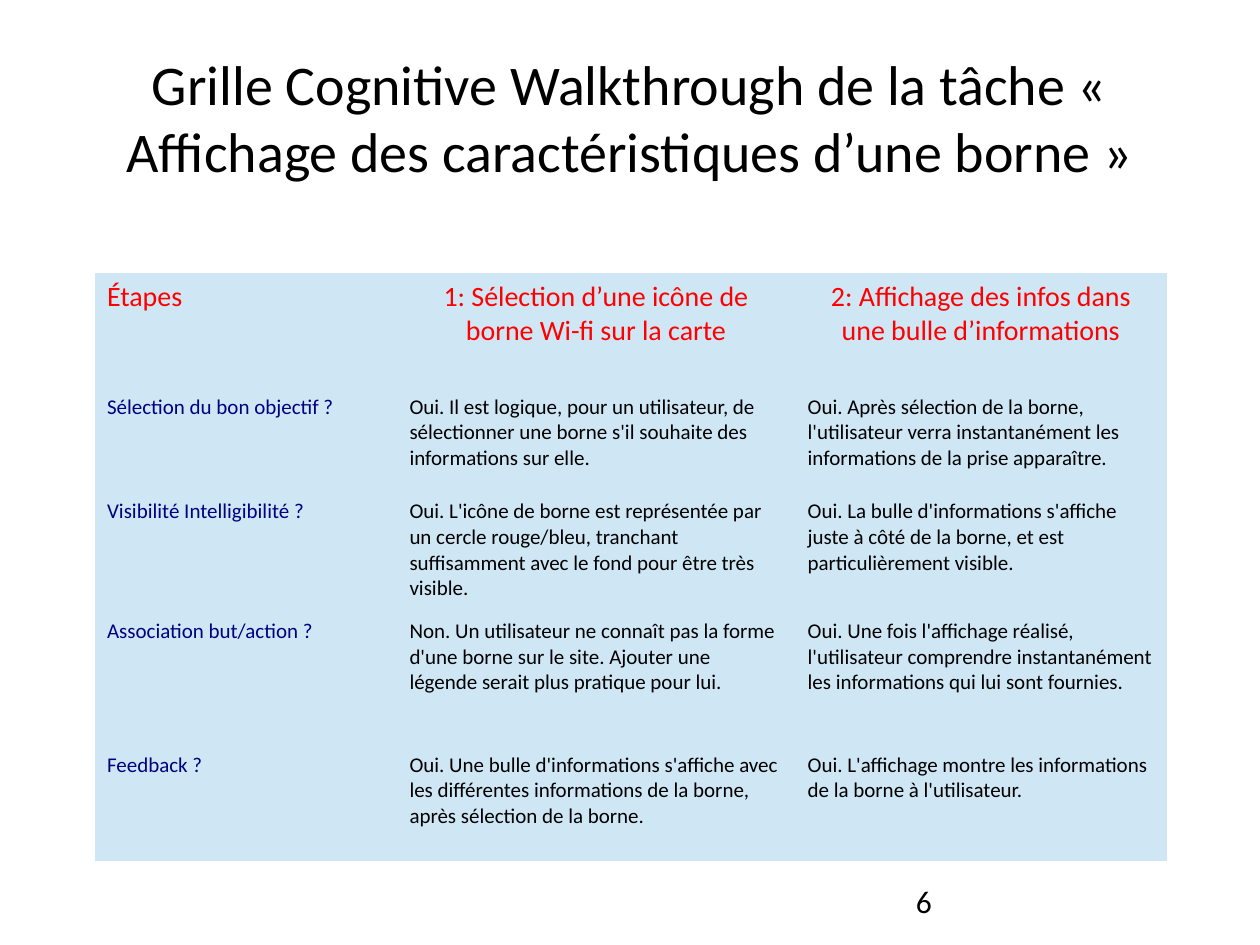
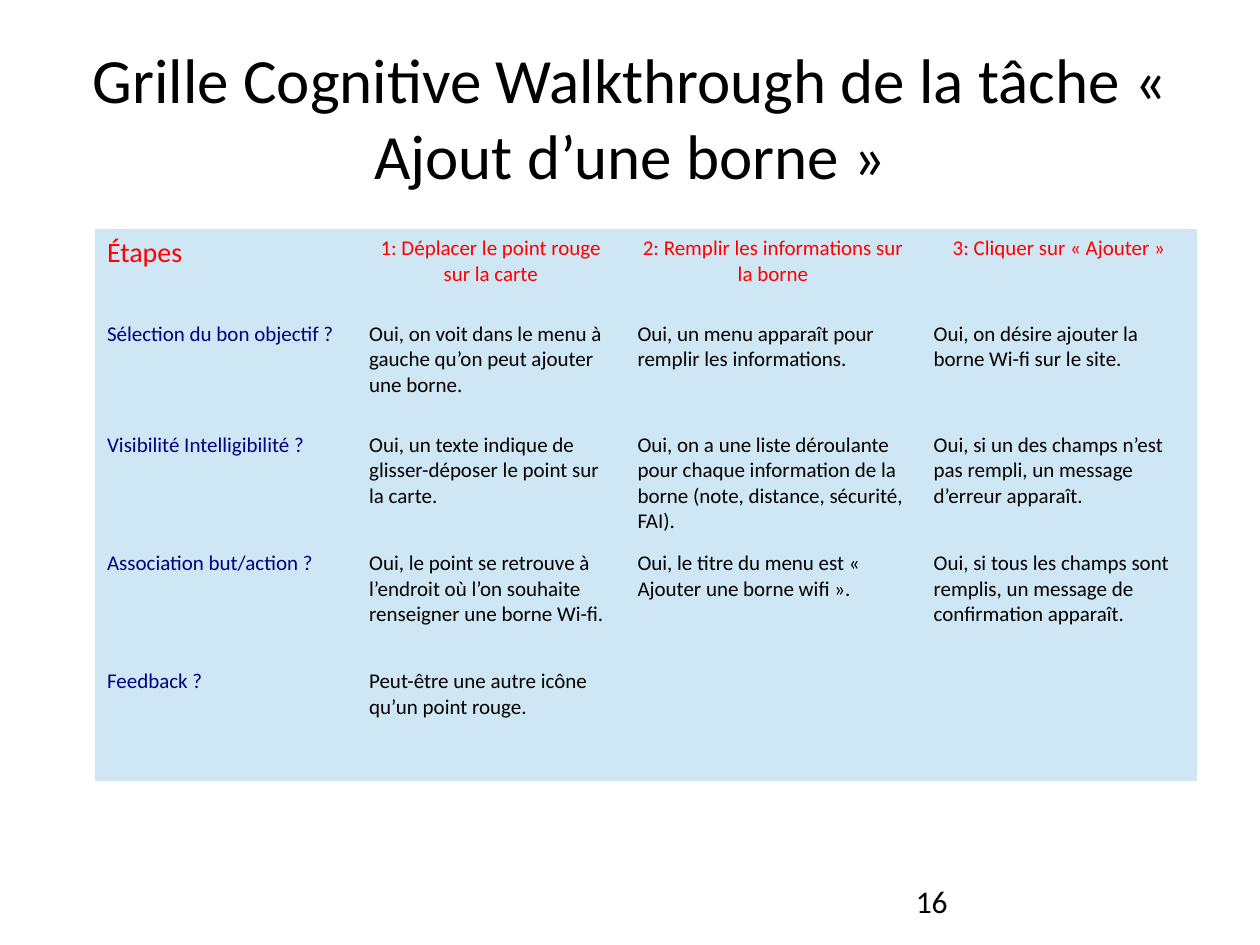
from pptx import Presentation
from pptx.dml.color import RGBColor
from pptx.enum.text import MSO_ANCHOR, MSO_AUTO_SIZE, PP_ALIGN
from pptx.util import Inches, Pt

FONT = "Calibri"
BLACK, RED, NAVY, PALE_BLUE = "000000", "FF0000", "000080", "CFE7F5"
NO_STYLE = "{2D5ABB26-0587-4C30-8999-92F81FD0307C}"
WIDTH, HEIGHT = Inches(10), Inches(7.5)
QUESTIONS = [
    "Sélection du bon objectif ?",
    "Visibilité Intelligibilité ?",
    "Association but/action ?",
    "Feedback ?",
]

DISPLAY_STEPS = {
    "1: Sélection d’une icône de borne Wi-fi sur la carte": [
        "Oui. Il est logique, pour un utilisateur, de sélectionner une borne s'il souhaite des informations sur elle.",
        "Oui. L'icône de borne est représentée par un cercle rouge/bleu, tranchant suffisamment avec le fond pour être très visible.",
        "Non. Un utilisateur ne connaît pas la forme d'une borne sur le site. Ajouter une légende serait plus pratique pour lui.",
        "Oui. Une bulle d'informations s'affiche avec les différentes informations de la borne, après sélection de la borne.",
    ],
    "2: Affichage des infos dans une bulle d’informations": [
        "Oui. Après sélection de la borne, l'utilisateur verra instantanément les informations de la prise apparaître.",
        "Oui. La bulle d'informations s'affiche juste à côté de la borne, et est particulièrement visible.",
        "Oui. Une fois l'affichage réalisé, l'utilisateur comprendre instantanément les informations qui lui sont fournies.",
        "Oui. L'affichage montre les informations de la borne à l'utilisateur.",
    ],
}

ADDING_STEPS = {
    "1: Déplacer le point rouge sur la carte": [
        "Oui, on voit dans le menu à gauche qu’on peut ajouter une borne.",
        "Oui, un texte indique de glisser-déposer le point sur la carte.",
        "Oui, le point se retrouve à l’endroit où l’on souhaite renseigner une borne Wi-fi.",
        "Peut-être une autre icône qu’un point rouge.",
    ],
    "2: Remplir les informations sur la borne": [
        "Oui, un menu apparaît pour remplir les informations.",
        "Oui, on a une liste déroulante pour chaque information de la borne (note, distance, sécurité, FAI).",
        "Oui, le titre du menu est « Ajouter une borne wifi ».",
        "",
    ],
    "3: Cliquer sur « Ajouter »": [
        "Oui, on désire ajouter la borne Wi-fi sur le site.",
        "Oui, si un des champs n’est pas rempli, un message d’erreur apparaît.",
        "Oui, si tous les champs sont remplis, un message de confirmation apparaît.",
        "",
    ],
}


def color(value):
    """Turn a hex string into a colour."""
    return RGBColor.from_string(value)


def place(shape, left, top, width, height):
    """Position a shape by shares of the slide's size."""
    shape.left, shape.width = int(WIDTH * left), int(WIDTH * width)
    shape.top, shape.height = int(HEIGHT * top), int(HEIGHT * height)


def write(frame, text, size, ink=BLACK, align=PP_ALIGN.LEFT):
    """Fill a text frame with one styled paragraph."""
    frame.text = text
    paragraph = frame.paragraphs[0]
    paragraph.alignment = align
    for span in paragraph.runs:
        span.font.name = FONT
        span.font.size = Pt(size)
        span.font.color.rgb = color(ink)


def add_page(deck, title, title_size, number):
    """Add a slide with its centred title and page number."""
    page = deck.slides.add_slide(deck.slide_layouts[5])
    place(page.shapes.title, 0.05, 0.04, 0.9, 1 / 6)
    frame = page.shapes.title.text_frame
    frame.auto_size = MSO_AUTO_SIZE.NONE
    frame.vertical_anchor = MSO_ANCHOR.MIDDLE
    write(frame, title, title_size, align=PP_ALIGN.CENTER)
    box = page.shapes.add_textbox(0, 0, 0, 0)
    place(box, 0.717, 0.927, 0.233, 0.053)
    box.text_frame.word_wrap = True
    write(box.text_frame, str(number), 18)
    return page


def add_grid(page, steps, top, widths, heights, step_size):
    """Add the walkthrough table: questions down, steps across."""
    frame = page.shapes.add_table(
        len(heights), len(widths), int(WIDTH * 0.075), Inches(top),
        Inches(sum(widths)), Inches(sum(heights)))
    table = frame.table
    table.first_row = table.horz_banding = False
    table._tbl.tblPr[0].text = NO_STYLE
    for column, width in zip(table.columns, widths):
        column.width = Inches(width)
    for row, height in zip(table.rows, heights):
        row.height = Inches(height)
    for cell in table.iter_cells():
        cell.fill.solid()
        cell.fill.fore_color.rgb = color(PALE_BLUE)
    write(table.cell(0, 0).text_frame, "Étapes", 16, RED)
    for row, question in enumerate(QUESTIONS, 1):
        write(table.cell(row, 0).text_frame, question, 12, NAVY)
    for column, (step, answers) in enumerate(steps.items(), 1):
        write(table.cell(0, column).text_frame, step, step_size, RED, PP_ALIGN.CENTER)
        for row, answer in enumerate(answers, 1):
            write(table.cell(row, column).text_frame, answer, 12)


def main():
    """Build and save the deck."""
    deck = Presentation()
    deck.slide_width, deck.slide_height = WIDTH, HEIGHT
    page = add_page(
        deck, "Grille Cognitive Walkthrough de la tâche « Affichage des caractéristiques d’une borne »", 32, 6)
    add_grid(page, DISPLAY_STEPS, 2.17, [2.4, 3.16, 2.95], [0.91, 0.83, 0.95, 1.06, 0.91], 16)
    page = add_page(
        deck, "Grille Cognitive Walkthrough de la tâche « Ajout d’une borne »", 36, 16)
    add_grid(page, ADDING_STEPS, 1.82, [2.08, 2.13, 2.35, 2.19], [0.68, 0.88] + [0.94] * 3, 12)
    deck.save("out.pptx")


if __name__ == "__main__":
    main()
